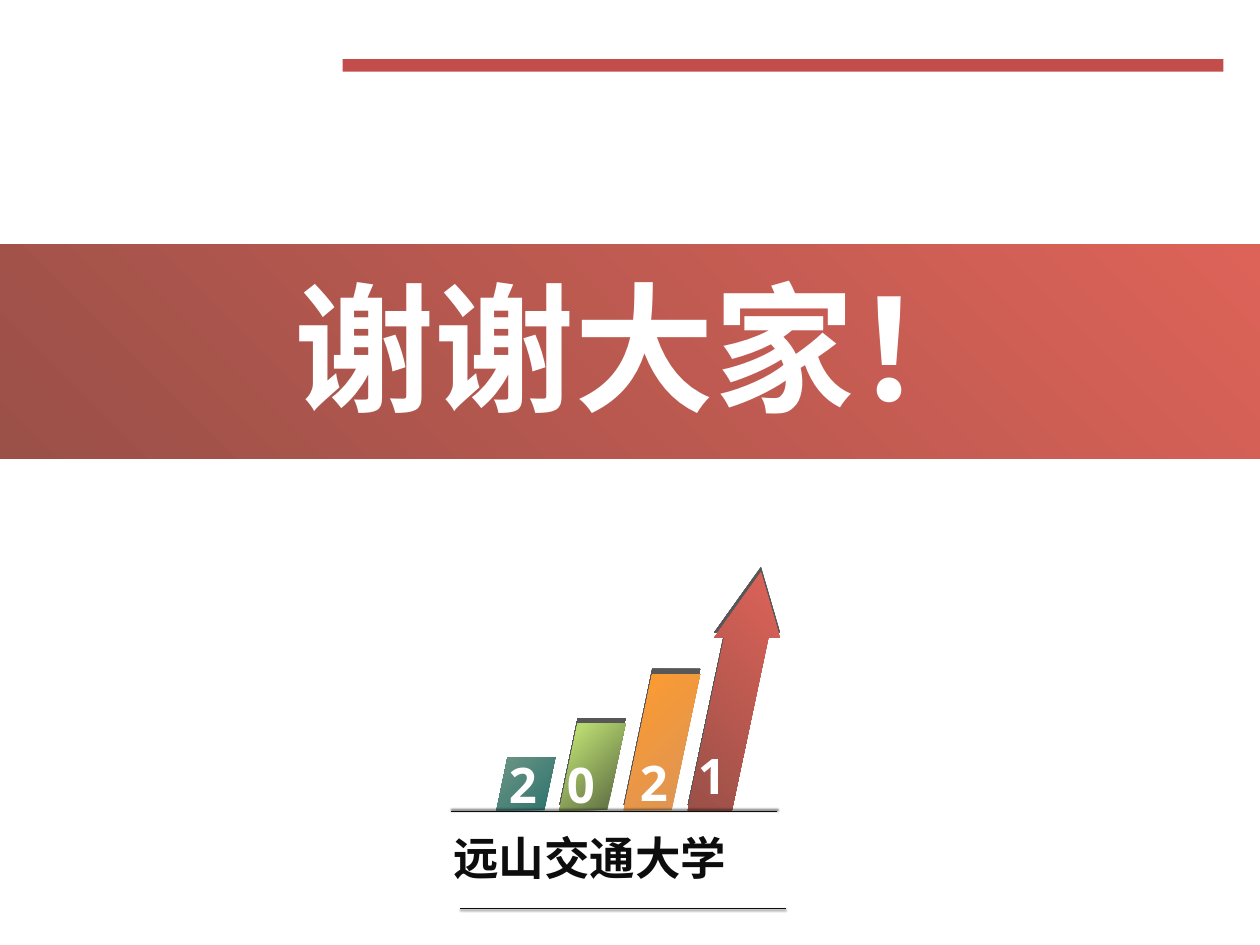
from lxml import etree
from pptx import Presentation
from pptx.dml.color import RGBColor
from pptx.enum.shapes import MSO_CONNECTOR, MSO_SHAPE
from pptx.oxml.ns import qn
from pptx.util import Inches, Pt

RECT = MSO_SHAPE.RECTANGLE
STRAIGHT = MSO_CONNECTOR.STRAIGHT

WHITE = RGBColor(0xFF, 0xFF, 0xFF)
INK = RGBColor(0x0D, 0x0D, 0x0D)
BLACK = RGBColor(0, 0, 0)
RED = RGBColor(0xC2, 0x4D, 0x4A)
RED_STOPS = ((1, RGBColor(0x9B, 0x50, 0x48)), (100, RGBColor(0xDD, 0x63, 0x58)))
TEAL_STOPS = ((1, RGBColor(0x2C, 0x72, 0x6C)), (99, RGBColor(0x6E, 0x96, 0x86)))
GREEN_STOPS = ((15, RGBColor(0x67, 0x79, 0x47)), (83, RGBColor(0xB8, 0xD8, 0x70)))
ORANGE_STOPS = ((1, RGBColor(0xDB, 0x94, 0x58)), (100, RGBColor(0xFF, 0x9B, 0x2D)))

LATIN = "Open Sans"
CJK = "Noto Sans CJK SC"

BASE = 6.43  # ground line of the chart drawing
BAR_WIDTH = 0.38
SLANT = 0.21  # horizontal shift per inch of height


def fill_gradient(sp, stops, radial=False):
    """Blend towards the top left, or outwards from the bottom left corner."""
    sp.fill.gradient()
    sp.fill.gradient_angle = 135
    for stop, (position, color) in zip(sp.fill.gradient_stops, stops):
        stop.position = position / 100
        stop.color.rgb = color
    if radial:
        grad = sp._element.spPr.find(qn("a:gradFill"))
        grad.remove(grad.find(qn("a:lin")))
        path = etree.SubElement(grad, qn("a:path"), path="circle")
        etree.SubElement(path, qn("a:fillToRect"), l="0", t="100000", r="100000", b="0")


def add_shadow(s, color, alpha, blur, distance, direction):
    spPr = s._element.spPr
    for old in spPr.findall(qn("a:effectLst")):
        spPr.remove(old)
    effects = etree.SubElement(spPr, qn("a:effectLst"))
    shadow = etree.SubElement(
        effects, qn("a:outerShdw"), blurRad=str(Pt(blur)), dist=str(Pt(distance)),
        dir=str(direction * 60000), algn="ctr", rotWithShape="0")
    rgb = etree.SubElement(shadow, qn("a:srgbClr"), val=str(color))
    etree.SubElement(rgb, qn("a:alpha"), val=str(alpha * 1000))


def add_band(slide, left, top, width, height):
    sp = slide.shapes.add_shape(RECT, Inches(left), Inches(top), Inches(width), Inches(height))
    sp.shadow.inherit = False
    sp.line.fill.background()
    return sp


def add_outline(slide, points, stops, radial=False, shadow=True):
    start, *rest = [(Inches(x), Inches(y)) for x, y in points]
    builder = slide.shapes.build_freeform(*start)
    builder.add_line_segments(rest, close=True)
    sp = builder.convert_to_shape()
    sp.shadow.inherit = False
    sp.line.fill.background()
    fill_gradient(sp, stops, radial)
    if shadow:
        add_shadow(sp, BLACK, 65, 0, 3, 270)


def add_bar(slide, left, top, stops, shadow=True):
    shift = (BASE - top) * SLANT
    points = [(left, BASE), (left + BAR_WIDTH, BASE),
              (left + BAR_WIDTH + shift, top), (left + shift, top)]
    add_outline(slide, points, stops, shadow=shadow)


def add_rule(slide, left, right, y, alpha, direction):
    line = slide.shapes.add_connector(STRAIGHT, Inches(left), Inches(y), Inches(right), Inches(y))
    line.line.color.rgb = INK
    line.line.width = Pt(1)
    add_shadow(line, INK, alpha, 1, 1, direction)


def add_text(slide, text, left, top, width, height, size, font, color):
    box = slide.shapes.add_textbox(Inches(left), Inches(top), Inches(width), Inches(height))
    tf = box.text_frame
    tf.word_wrap = False
    p = tf.paragraphs[0]
    r = p.add_run()
    r.text = text
    r.font.name = font
    r.font.size = Pt(size)
    r.font.bold = True
    r.font.color.rgb = color
    etree.SubElement(r._r.get_or_add_rPr(), qn("a:ea"), typeface=font)


def main():
    prs = Presentation()
    prs.slide_width, prs.slide_height = Inches(10), Inches(7.5)
    slide = prs.slides.add_slide(prs.slide_layouts[6])

    header = add_band(slide, 2.72, 0.47, 6.99, 0.1)
    header.fill.solid()
    header.fill.fore_color.rgb = RED
    banner = add_band(slide, 0, 1.94, 10, 1.7)
    fill_gradient(banner, RED_STOPS, radial=True)

    arrow = [(5.46, BASE), (5.81, BASE), (6.1, 5.06), (6.19, 5.06),
             (6.04, 4.54), (5.67, 5.06), (5.75, 5.06)]
    add_outline(slide, arrow, RED_STOPS, radial=True)
    add_bar(slide, 4.44, 5.74, GREEN_STOPS)
    add_bar(slide, 4.95, 5.35, ORANGE_STOPS)
    add_bar(slide, 3.94, 6.01, TEAL_STOPS, shadow=False)

    add_rule(slide, 3.65, 6.24, 7.21, 40, 90)
    digits = (("2", 3.94, 5.94, 0.42), ("0", 4.4, 5.94, 0.46),
              ("2", 4.98, 5.92, 0.42), ("1", 5.44, 5.87, 0.37))
    for digit, left, top, width in digits:
        add_text(slide, digit, left, top, width, 0.57, 28, LATIN, WHITE)
    add_rule(slide, 3.58, 6.17, 6.44, 66, 270)

    add_text(slide, "谢谢大家！", 2.24, 2.03, 5.84, 1.45, 80, CJK, WHITE)
    add_text(slide, "远山交通大学", 3.5, 6.54, 2.39, 0.54, 26, CJK, INK)
    prs.save("out.pptx")


if __name__ == "__main__":
    main()
